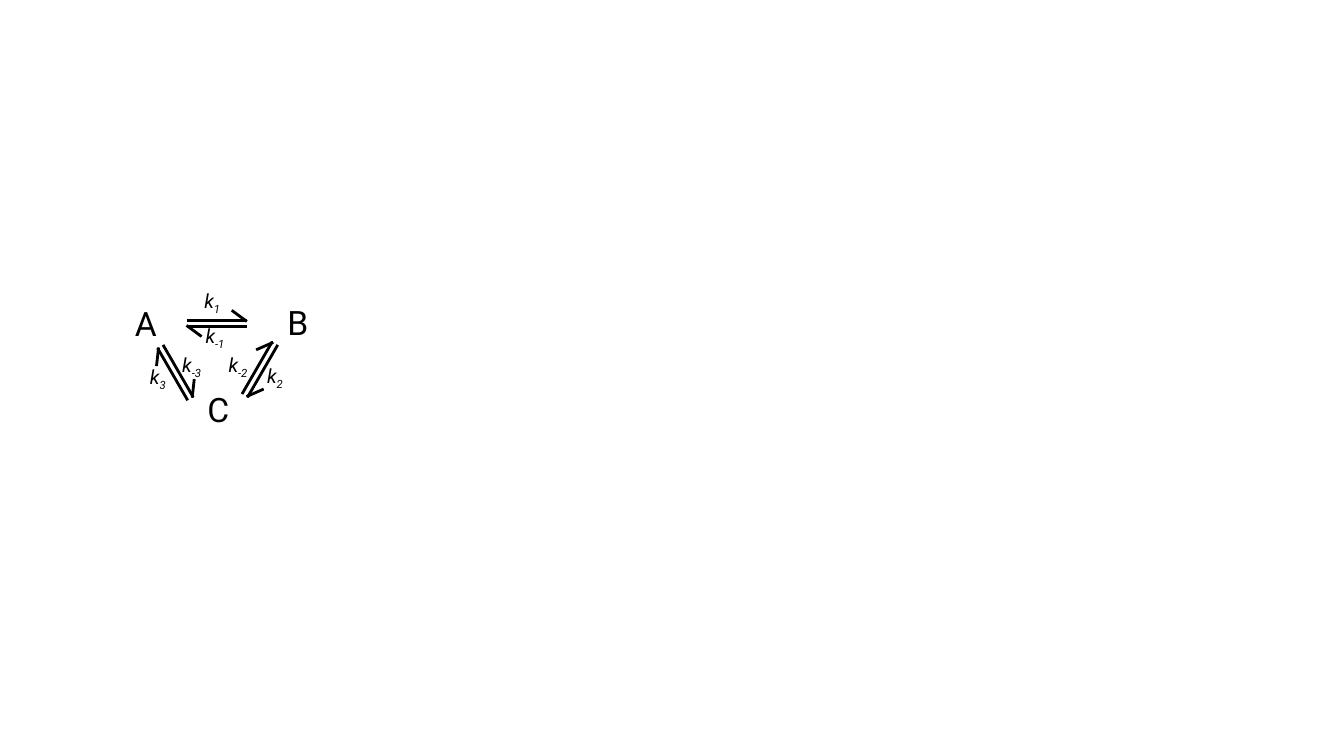
from dataclasses import dataclass
from math import cos, radians, sin

from lxml.etree import SubElement
from pptx import Presentation
from pptx.dml.color import RGBColor
from pptx.enum.shapes import MSO_CONNECTOR as Connector
from pptx.enum.text import MSO_AUTO_SIZE as AutoSize
from pptx.oxml.ns import qn
from pptx.slide import Slide
from pptx.util import Cm, Pt


@dataclass(frozen=True)
class Theme:
    ink: RGBColor = RGBColor(0, 0, 0)
    font: str = "Roboto"
    species_size: int = 24
    rate_size: int = 14
    line_width: int = 2


@dataclass(frozen=True)
class Label:
    text: str
    left: float
    top: float
    width: float
    height: float
    subscript: str = ""


@dataclass(frozen=True)
class Equilibrium:
    center_x: float
    center_y: float
    angle: int


THEME = Theme()
SHAFT = ((-0.76, -0.08), (0.76, -0.08))
BARB = ((0.76, -0.05), (0.38, -0.33))

SPECIES = (
    Label("A", 3.15, 7.52, 1.02, 1.27),
    Label("B", 6.99, 7.49, 1.02, 1.27),
    Label("C", 4.98, 9.68, 1.02, 1.27),
)
EQUILIBRIA = (
    Equilibrium(4.42, 9.39, 60),
    Equilibrium(5.46, 8.15, 0),
    Equilibrium(6.55, 9.31, 120),
)
RATES = (
    Label("k", 4.90, 7.16, 0.94, 0.86, "1"),
    Label("k", 4.93, 8.05, 1.04, 0.86, "-1"),
    Label("k", 6.48, 9.04, 0.94, 0.86, "2"),
    Label("k", 5.51, 8.76, 1.04, 0.86, "-2"),
    Label("k", 3.53, 9.07, 0.94, 0.86, "3"),
    Label("k", 4.34, 8.76, 1.04, 0.86, "-3"),
)


def draw_label(slide: Slide, label: Label, size: int) -> None:
    box = slide.shapes.add_textbox(
        Cm(label.left), Cm(label.top), Cm(label.width), Cm(label.height)
    )
    frame = box.text_frame
    frame.word_wrap = False
    frame.auto_size = AutoSize.SHAPE_TO_FIT_TEXT
    paragraph = frame.paragraphs[0]
    for text in filter(None, (label.text, label.subscript)):
        run = paragraph.add_run()
        run.text = text
        run.font.name = THEME.font
        run.font.size = Pt(size)
        run.font.color.rgb = THEME.ink
        if label.subscript:
            run.font.italic = True
        if text == label.subscript:
            run.font._element.set("baseline", "-25000")


def place(point: tuple[float, float], pair: Equilibrium, turn: int) -> tuple[Cm, Cm]:
    x, y = point
    angle = radians(pair.angle + turn)
    return (
        Cm(pair.center_x + x * cos(angle) - y * sin(angle)),
        Cm(pair.center_y + x * sin(angle) + y * cos(angle)),
    )


def draw_equilibrium(slide: Slide, pair: Equilibrium) -> None:
    group = slide.shapes.add_group_shape()
    for turn in (180, 0):
        for start, end in (SHAFT, BARB):
            line = group.shapes.add_connector(
                Connector.STRAIGHT, *place(start, pair, turn), *place(end, pair, turn)
            )
            line.line.color.rgb = THEME.ink
            line.line.width = Pt(THEME.line_width)
            SubElement(line._element.spPr, qn("a:effectLst"))


presentation = Presentation()
presentation.slide_width = Cm(33.87)
presentation.slide_height = Cm(19.05)
slide = presentation.slides.add_slide(presentation.slide_layouts[6])

for species in SPECIES:
    draw_label(slide, species, THEME.species_size)
for equilibrium in EQUILIBRIA:
    draw_equilibrium(slide, equilibrium)
for rate in RATES:
    draw_label(slide, rate, THEME.rate_size)

presentation.save("out.pptx")
